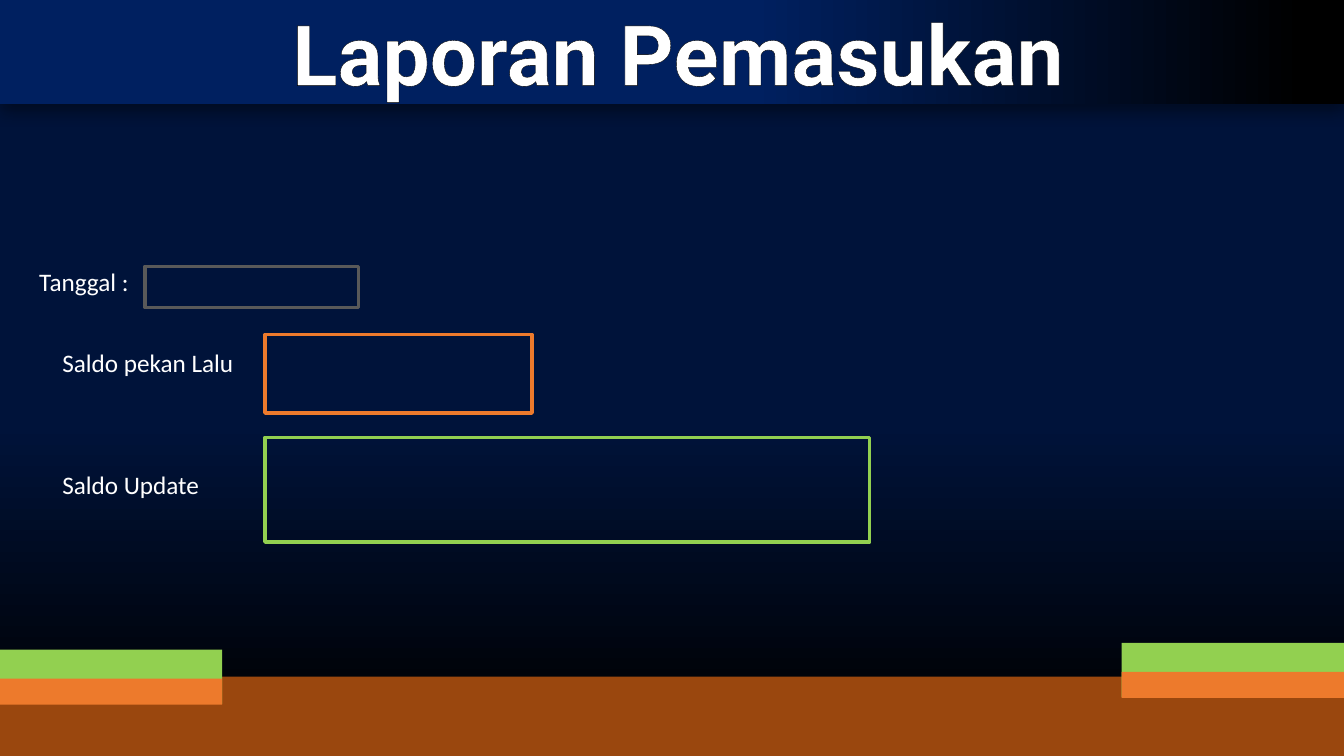
"""Build the weekly income report slide with its balance fields."""
import dataclasses

import lxml.etree
import pptx
import pptx.dml.color
import pptx.enum.shapes
import pptx.enum.text
import pptx.oxml
import pptx.oxml.ns
import pptx.util

Cm = pptx.util.Cm


@dataclasses.dataclass(frozen=True)
class Theme:
    width: float = 33.87
    height: float = 19.05
    night: str = "00133A"
    navy: str = "002060"
    black: str = "000000"
    white: str = "FFFFFF"
    brown: str = "9A470E"
    green: str = "92D050"
    orange: str = "ED7A2C"
    grey: str = "595959"
    title_font: str = "Roboto"
    label_font: str = "Calibri"
    title_size: float = 60
    label_size: float = 18
    frame_width: float = 2.5
    outline_width: float = 0.75


class ReportSlide:
    def __init__(self, deck, theme):
        self.theme = theme
        self.page = deck.slides.add_slide(deck.slide_layouts[5])

    def color(self, value):
        return pptx.dml.color.RGBColor.from_string(value)

    def gradient(self, fill, start, angle):
        fill.gradient()
        fill.gradient_angle = angle
        stops = zip(fill.gradient_stops, (start, self.theme.black), (0.56, 0.97))
        for stop, value, position in stops:
            stop.color.rgb = self.color(value)
            stop.position = position

    def background(self):
        self.gradient(self.page.background.fill, self.theme.night, 270)

    def rectangle(self, left, top, width, height):
        box = self.page.shapes.add_shape(
            pptx.enum.shapes.MSO_SHAPE.RECTANGLE,
            Cm(left), Cm(top), Cm(width), Cm(height))
        box.shadow.inherit = False
        return box

    def block(self, left, top, width, height, value):
        box = self.rectangle(left, top, width, height)
        box.fill.solid()
        box.fill.fore_color.rgb = self.color(value)
        box.line.fill.background()

    def frame(self, left, top, width, height, value):
        box = self.rectangle(left, top, width, height)
        box.fill.background()
        box.line.color.rgb = self.color(value)
        box.line.width = pptx.util.Pt(self.theme.frame_width)

    def banner(self, height):
        box = self.rectangle(0, -0.02, self.theme.width, height)
        self.gradient(box.fill, self.theme.navy, 0)
        box.line.fill.background()
        effects = box._element.spPr.find(pptx.oxml.ns.qn("a:effectLst"))
        shadow = lxml.etree.SubElement(
            effects, pptx.oxml.ns.qn("a:outerShdw"),
            blurRad=str(pptx.util.Pt(12)), dist=str(pptx.util.Pt(4)),
            dir="5400000", algn="t", rotWithShape="0")
        tint = lxml.etree.SubElement(
            shadow, pptx.oxml.ns.qn("a:srgbClr"), val=self.theme.black)
        lxml.etree.SubElement(tint, pptx.oxml.ns.qn("a:alpha"), val="43000")

    def set_text(self, box, text, font, size, bold=False):
        frame = box.text_frame
        frame.text = text
        frame.word_wrap = False
        frame.auto_size = pptx.enum.text.MSO_AUTO_SIZE.SHAPE_TO_FIT_TEXT
        span = frame.paragraphs[0].runs[0]
        span.font.name = font
        span.font.size = pptx.util.Pt(size)
        span.font.bold = bold
        span.font.color.rgb = self.color(self.theme.white)
        return span

    def label(self, left, top, width, text):
        box = self.page.shapes.add_textbox(Cm(left), Cm(top), Cm(width), Cm(1.02))
        self.set_text(box, text, self.theme.label_font, self.theme.label_size)

    def title(self, left, top, width, height, text):
        box = self.page.shapes.title
        box.left, box.top, box.width, box.height = map(Cm, (left, top, width, height))
        span = self.set_text(
            box, text, self.theme.title_font, self.theme.title_size, True)
        box.text_frame.paragraphs[0].alignment = pptx.enum.text.PP_ALIGN.CENTER
        outline = pptx.oxml.parse_xml(
            f'<a:ln {pptx.oxml.ns.nsdecls("a")} '
            f'w="{pptx.util.Pt(self.theme.outline_width)}"><a:solidFill>'
            f'<a:srgbClr val="{self.theme.black}"/></a:solidFill></a:ln>')
        span.font._element.insert(0, outline)
        self.page.shapes._spTree.append(box._element)


def main():
    theme = Theme()
    deck = pptx.Presentation()
    deck.slide_width, deck.slide_height = Cm(theme.width), Cm(theme.height)
    report = ReportSlide(deck, theme)

    report.background()
    report.block(0, 17.05, theme.width, theme.height - 17.05, theme.brown)
    stripe_width = 5.6
    for left, top in ((0, 16.37), (theme.width - stripe_width, 16.2)):
        report.block(left, top, stripe_width, 1.37, theme.green)
        report.block(left, top + 0.73, stripe_width, 0.66, theme.orange)

    report.banner(2.64)
    report.title(5.77, -0.1, 22.63, 2.82, "Laporan Pemasukan")

    fields = (
        ("Tanggal :", (0.74, 6.58, 2.95), (3.66, 6.71, 5.38, 1.04), theme.grey),
        ("Saldo pekan Lalu", (1.32, 8.64, 4.88), (6.68, 8.43, 6.73, 1.98), theme.orange),
        ("Saldo Update", (1.32, 11.71, 3.99), (6.68, 11.02, 15.24, 2.64), theme.green),
    )
    for text, label_place, frame_place, value in fields:
        report.label(*label_place, text)
        report.frame(*frame_place, value)

    deck.save("out.pptx")


if __name__ == "__main__":
    main()
